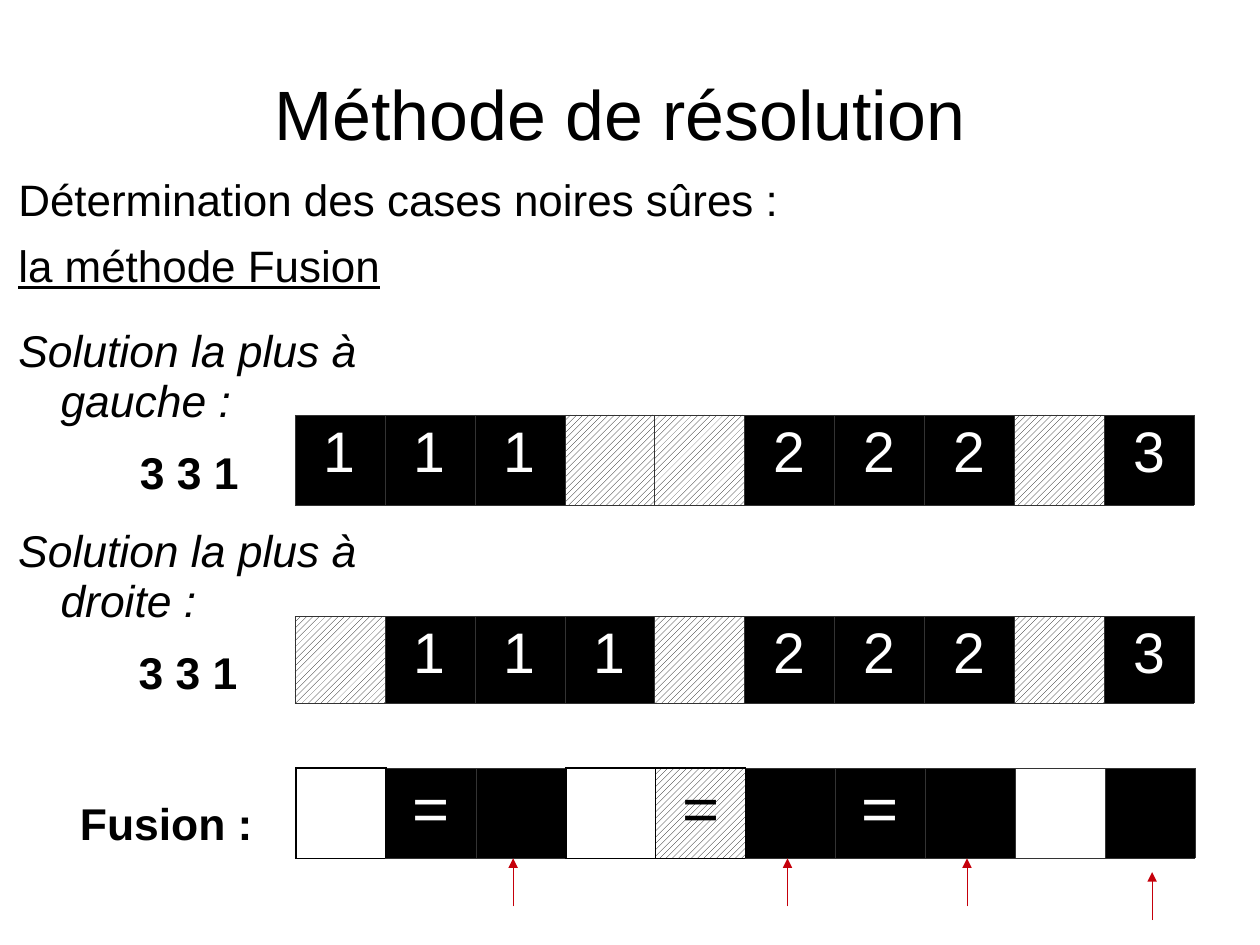
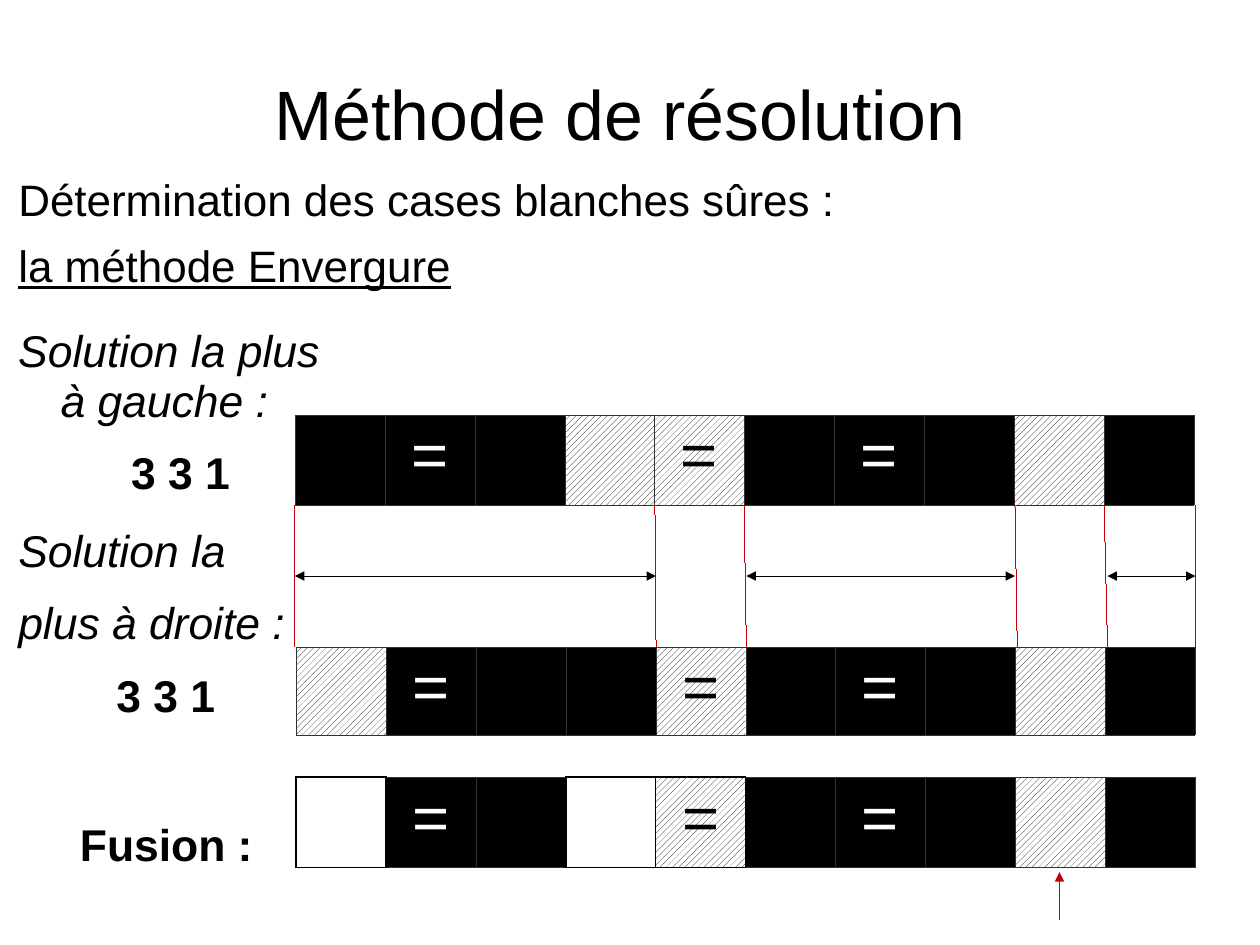
"""Build two slides on the Fusion and Envergure methods for solving picture grids."""
from lxml import etree
from pptx import Presentation
from pptx import util as u
from pptx.dml.color import RGBColor
from pptx.enum import dml, shapes, text
from pptx.oxml.ns import qn

BLACK = RGBColor(0x00, 0x00, 0x00)
WHITE = RGBColor(0xFF, 0xFF, 0xFF)
GREY = RGBColor(0x33, 0x33, 0x33)
RED = RGBColor(0xC5, 0x00, 0x0B)
FONT = "Arial"
CENTER = text.PP_ALIGN.CENTER
GRID_WIDTH = 7.87
HANGING = 0.37
THIN, THICK = 0.06, 1.13
ITALIC = {"italic": True}
BOLD = {"bold": True}
UNDERLINE = {"underline": True}
FRAMED = (0, 3, 4)


def add_text(s, box, paras, size=28, spacing=0.94, hanging=HANGING, top=0.03, after=14.1):
    """Add a text box; each paragraph is (text, alignment, font format)."""
    tf = s.shapes.add_textbox(*map(u.Inches, box)).text_frame
    tf.word_wrap = True
    tf.margin_left = tf.margin_right = tf.margin_bottom = 0
    tf.margin_top = u.Inches(top)
    for i, (words, align, fmt) in enumerate(paras):
        p = tf.paragraphs[0] if i == 0 else tf.add_paragraph()
        p.alignment, p.line_spacing, p.space_after = align, spacing, u.Pt(after)
        pPr = p._p.get_or_add_pPr()
        pPr.set("marL", str(u.Inches(hanging)))
        pPr.set("indent", str(-u.Inches(hanging)))
        r = p.add_run()
        r.text = words
        r.font.name, r.font.size, r.font.color.rgb = FONT, u.Pt(size), BLACK
        for key, value in fmt.items():
            setattr(r.font, key, value)
    return tf


def add_line(s, x1, y1, x2, y2, color, ends=()):
    """Add a hairline with triangles at the given ends."""
    points = map(u.Inches, (x1, y1, x2, y2))
    c = s.shapes.add_connector(shapes.MSO_CONNECTOR.STRAIGHT, *points)
    c.line.color.rgb = color
    spPr = c._element.spPr
    ln = spPr.find(qn("a:ln"))
    ln.set("w", "0")
    for end in ends:
        etree.SubElement(ln, qn("a:" + end), type="triangle")
    etree.SubElement(spPr, qn("a:effectLst"))


LEFT_FILLS = "###//###/#"
RIGHT_FILLS = "/###/###/#"
EQUALS = " =  = =   "
SLIDES = [
    {
        "heading": ["Détermination des cases noires sûres :", "la méthode Fusion"],
        "left_width": 2.99,
        "right_width": 2.97,
        "right_label": ["Solution la plus à droite :"],
        "fusion_top": 6.97,
        "grids": [
            (2.58, 3.63, 0.79, LEFT_FILLS, "111  222 3", 36, ()),
            (2.58, 5.39, 0.76, RIGHT_FILLS, " 111 222 3", 36, ()),
            (2.59, 6.72, 0.79, "o##o/###o#", EQUALS, 40, FRAMED),
        ],
        "pointers": [(4.49, 7.51), (6.89, 7.51), (8.46, 7.51), (10.08, 7.63)],
        "spans": [],
        "guides": [],
    },
    {
        "heading": ["Détermination des cases blanches sûres :", "la méthode Envergure"],
        "left_width": 2.84,
        "right_width": 2.58,
        "right_label": ["Solution la", "plus à droite :"],
        "fusion_top": 7.16,
        "grids": [
            (2.58, 3.63, 0.79, LEFT_FILLS, EQUALS, 40, ()),
            (2.59, 5.66, 0.77, RIGHT_FILLS, EQUALS, 40, ()),
            (2.59, 6.8, 0.79, "o##o/###/#", EQUALS, 40, FRAMED),
        ],
        "pointers": [(9.27, 7.63)],
        "spans": [(2.58, 5.74), (6.53, 8.88), (9.69, 10.46)],
        "guides": [(2.58, 2.58), (5.73, 5.74), (6.51, 6.53),
                   (8.88, 8.9), (9.66, 9.69), (10.46, 10.46)],
    },
]

prs = Presentation()
prs.slide_width, prs.slide_height = u.Cm(28), u.Cm(21)

for page in SLIDES:
    s = prs.slides.add_slide(prs.slide_layouts[6])
    title = add_text(s, (0.55, 0.33, 9.92, 1.38), [("Méthode de résolution ", CENTER, {})],
                     size=44, hanging=0, top=0, after=0)
    title.vertical_anchor = text.MSO_ANCHOR.MIDDLE

    clue = ("3 3 1", CENTER, BOLD)
    heading, method = page["heading"]
    add_text(s, (0.16, 2.83, page["left_width"], 1.75),
             [("Solution la plus à gauche :", None, ITALIC), clue])
    add_text(s, (0.16, 1.55, 10.08, 1.28),
             [(heading, None, {}), (method, None, UNDERLINE)], size=27.7, spacing=0.84)
    add_text(s, (0.16, 4.58, page["right_width"], 2.2),
             [(line, None, ITALIC) for line in page["right_label"]] + [clue])
    add_text(s, (0.7, page["fusion_top"], 1.8, 0.5), [("Fusion :", None, BOLD)], hanging=0)

    for left, top, height, fills, labels, size, framed in page["grids"]:
        box = map(u.Inches, (left, top, GRID_WIDTH, height))
        table = s.shapes.add_table(1, len(fills), *box).table
        table.first_row = table.horz_banding = False
        for i, (kind, label) in enumerate(zip(fills, labels)):
            cell = table.cell(0, i)
            tcPr = cell._tc.get_or_add_tcPr()
            color, width = (BLACK, THICK) if i in framed else (GREY, THIN)
            for side in ("lnL", "lnR", "lnT", "lnB"):
                ln = etree.SubElement(tcPr, qn("a:" + side), w=str(u.Pt(width)))
                fill = etree.SubElement(ln, qn("a:solidFill"))
                etree.SubElement(fill, qn("a:srgbClr"), val=str(color))
            if kind == "/":
                cell.fill.patterned()
                cell.fill.pattern = dml.MSO_PATTERN.WIDE_UPWARD_DIAGONAL
                cell.fill.fore_color.rgb, cell.fill.back_color.rgb = BLACK, WHITE
            else:
                cell.fill.solid()
                cell.fill.fore_color.rgb = BLACK if kind == "#" else WHITE
            if label != " ":
                p = cell.text_frame.paragraphs[0]
                p.alignment = CENTER
                r = p.add_run()
                r.text = label
                r.font.name, r.font.size = FONT, u.Pt(size)
                r.font.color.rgb = WHITE if kind == "#" else BLACK

    for x1, x2 in page["spans"]:
        add_line(s, x1, 5.04, x2, 5.04, BLACK, ("headEnd", "tailEnd"))
    for x1, x2 in page["guides"]:
        add_line(s, x1, 4.42, x2, 5.66, RED)
    for x, tip in page["pointers"]:
        add_line(s, x, tip + 0.42, x, tip, RED, ("tailEnd",))

prs.save("out.pptx")
